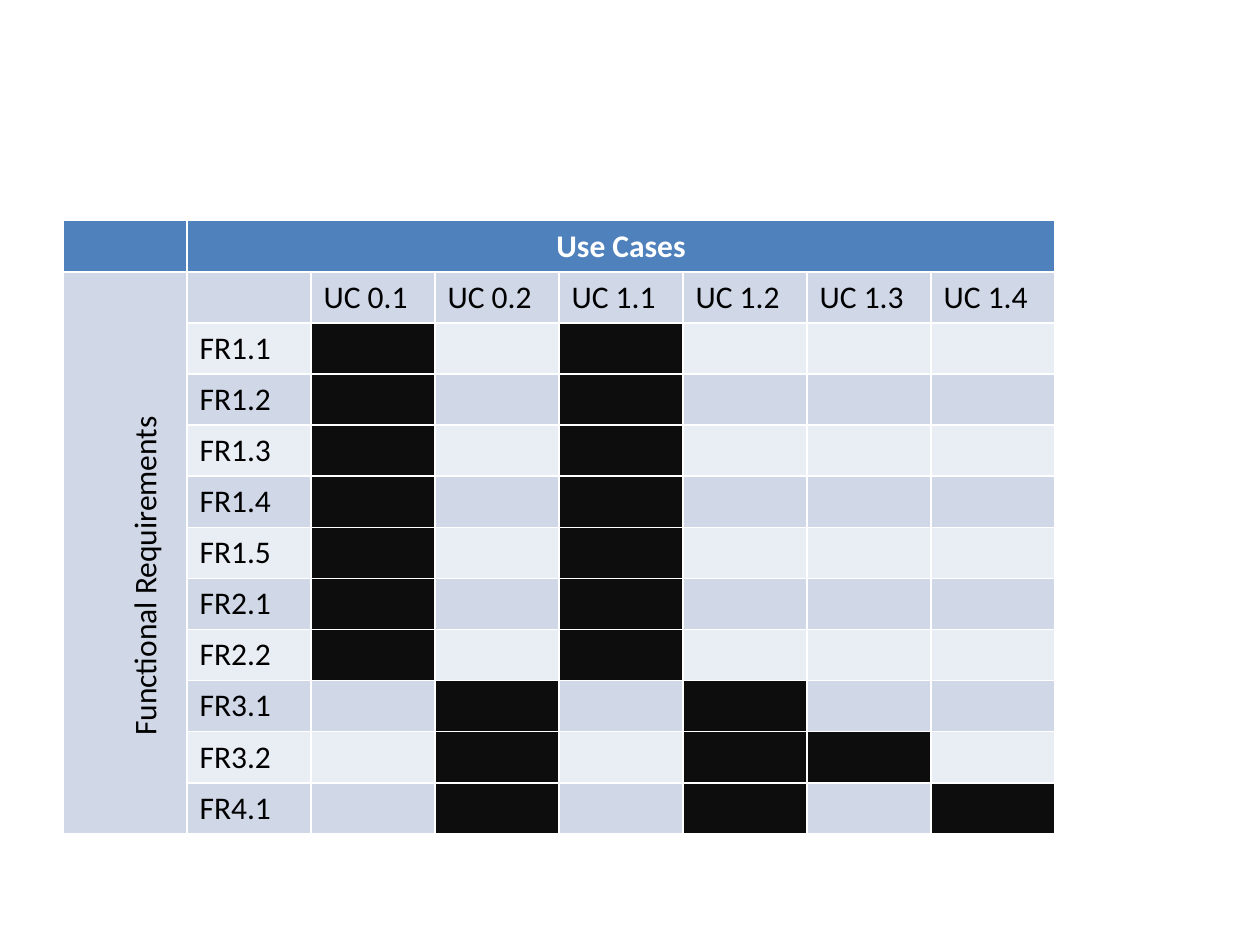
from pptx import Presentation
from pptx.dml.color import RGBColor
from pptx.enum.text import MSO_AUTO_SIZE, PP_ALIGN
from pptx.util import Cm, Pt

USE_CASES = ["UC 0.1", "UC 0.2", "UC 1.1", "UC 1.2", "UC 1.3", "UC 1.4"]
COVERAGE = {
    "FR1.1": ["UC 0.1", "UC 1.1"],
    "FR1.2": ["UC 0.1", "UC 1.1"],
    "FR1.3": ["UC 0.1", "UC 1.1"],
    "FR1.4": ["UC 0.1", "UC 1.1"],
    "FR1.5": ["UC 0.1", "UC 1.1"],
    "FR2.1": ["UC 0.1", "UC 1.1"],
    "FR2.2": ["UC 0.1", "UC 1.1"],
    "FR3.1": ["UC 0.2", "UC 1.2"],
    "FR3.2": ["UC 0.2", "UC 1.2", "UC 1.3"],
    "FR4.1": ["UC 0.2", "UC 1.2", "UC 1.4"],
}
COLUMN_TITLE = "Use Cases"
ROW_TITLE = "Functional Requirements"

THEME = {
    "font": "Calibri",
    "size": Pt(18),
    "header": RGBColor.from_string("4F81BD"),
    "bands": [RGBColor.from_string("E9EDF4"), RGBColor.from_string("D0D8E8")],
    "covered": RGBColor.from_string("0D0D0D"),
    "text": RGBColor.from_string("000000"),
    "header_text": RGBColor.from_string("FFFFFF"),
}
COL_W, ROW_H = Cm(2.5), Cm(1.03)


def style(p, color, bold=False):
    p.font.name = THEME["font"]
    p.font.size = THEME["size"]
    p.font.color.rgb = color
    p.font.bold = bold


def set_cell(cell, fill, text="", color=THEME["text"], bold=False):
    cell.fill.solid()
    cell.fill.fore_color.rgb = fill
    p = cell.text_frame.paragraphs[0]
    p.text = text
    style(p, color, bold)
    return p


def add_matrix(s):
    rows = [["", COLUMN_TITLE], ["", ""] + USE_CASES]
    rows += [["", name] for name in COVERAGE]
    n_rows, n_cols = len(rows), len(USE_CASES) + 2
    table = s.shapes.add_table(
        n_rows, n_cols, Cm(1.27), Cm(4.45), COL_W * n_cols, ROW_H * n_rows
    ).table
    for col in table.columns:
        col.width = COL_W
    for row in table.rows:
        row.height = ROW_H

    for i, texts in enumerate(rows):
        covered = COVERAGE.get(texts[1], [])
        for j in range(n_cols):
            text = texts[j] if j < len(texts) else ""
            fill = THEME["bands"][1 if j == 0 else i % 2]
            if i == 0:
                p = set_cell(table.cell(i, j), THEME["header"], text,
                             THEME["header_text"], True)
                p.alignment = PP_ALIGN.CENTER
                continue
            if j > 1 and USE_CASES[j - 2] in covered:
                fill = THEME["covered"]
            set_cell(table.cell(i, j), fill, text)

    table.cell(0, 1).merge(table.cell(0, n_cols - 1))
    table.cell(1, 0).merge(table.cell(n_rows - 1, 0))


def add_row_title(s):
    sp = s.shapes.add_textbox(Cm(-0.61), Cm(11.05), Cm(7.04), Cm(1.03))
    sp.rotation = 270
    tf = sp.text_frame
    tf.word_wrap = False
    tf.auto_size = MSO_AUTO_SIZE.SHAPE_TO_FIT_TEXT
    p = tf.paragraphs[0]
    p.text = ROW_TITLE
    style(p, THEME["text"])


def main():
    prs = Presentation()
    prs.slide_width, prs.slide_height = Cm(25.4), Cm(19.05)
    s = prs.slides.add_slide(prs.slide_layouts[6])
    add_matrix(s)
    add_row_title(s)
    prs.save("out.pptx")


if __name__ == "__main__":
    main()
